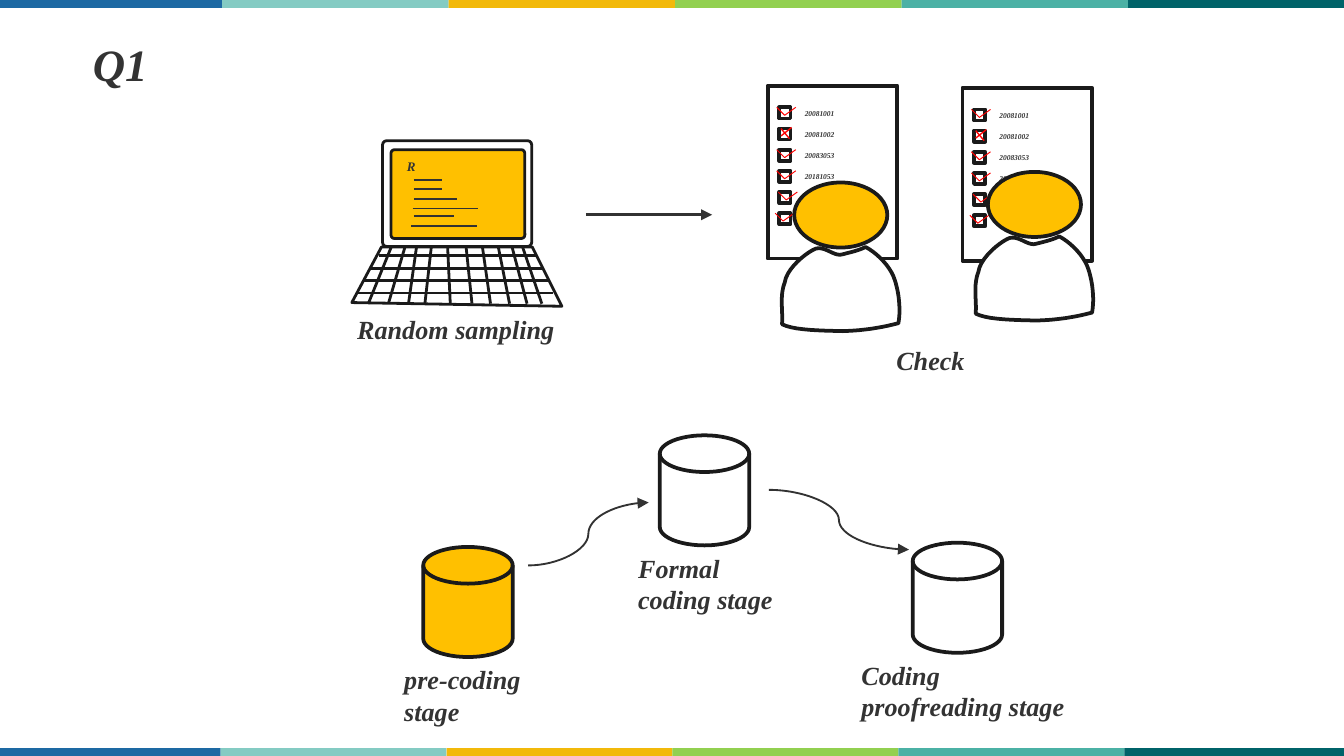
"""Build the Q1 slide: sampling, checking and the three coding stages."""
from lxml.etree import SubElement
from pptx import Presentation
from pptx.dml.color import RGBColor
from pptx.enum.shapes import MSO_CONNECTOR, MSO_SHAPE
from pptx.enum.text import MSO_ANCHOR, MSO_AUTO_SIZE, PP_ALIGN
from pptx.oxml.ns import qn
from pptx.util import Cm, Pt

INK, GREY, RED, GOLD, WHITE = "1A1A1A", "323232", "FF0000", "FFC000", "FFFFFF"
BANDS = ["1D69A3", "84CBC3", "F2B90A", "92D050", "4BB1A5", "006369"]
STRIPS = [(-0.08, 0, 4.28), (-0.1, 14.14, 4.27)]

LID = (7.23, 2.66, 2.82, 2)
SCREEN = (7.39, 2.83, 2.53, 1.68)
KEYS = [(7.21, 4.67), (10.06, 4.67), (10.62, 5.79), (6.65, 5.72)]
ROWS = [(4.83, 7.16, 10.13), (5.08, 7, 10.25), (5.31, 6.86, 10.36), (5.54, 6.76, 10.46)]
COLS = [(7.39, 6.96), (7.65, 7.34), (7.87, 7.72), (8.15, 8.03), (8.46, 8.51),
        (8.81, 8.92), (9.12, 9.27), (9.42, 9.63), (9.68, 9.96), (9.88, 10.24)]
CODE = [(3.4, 7.82, 8.36), (3.58, 7.82, 8.36), (3.76, 7.82, 8.64),
        (3.94, 7.8, 9.04), (4.09, 7.82, 8.58), (4.27, 7.77, 9.02)]

READERS = [((0, 0), (0, 0)), ((3.68, 0.04), (3.66, -0.2))]
CODES = ["20081001", "20081002", "20083053", "20181053"]
TICKS = {0: 0, 2: 0, 3: 0, 4: 0.03, 5: -0.03}
BODY = [(14.78, 6.13),
        (15.01, 6.25), (15.57, 6.25), (15.93, 6.26),
        (16.3, 6.25), (16.64, 6.2), (16.98, 6.11),
        (17.03, 5.83), (16.98, 5.5), (16.91, 5.29),
        (16.84, 5.06), (16.6, 4.8), (16.36, 4.67),
        (16.22, 4.74), (16.07, 4.77), (15.92, 4.81),
        (15.77, 4.86), (15.6, 4.65), (15.42, 4.7),
        (15.24, 4.77), (14.87, 5.07), (14.83, 5.34),
        (14.73, 5.61), (14.8, 5.87), (14.78, 6.13)]

DISKS = [(8, 10.34, GOLD), (12.47, 8.23, None), (17.25, 10.26, None)]
CURVES = [((9.98, 10.69), (12.26, 9.5)), ((14.53, 9.26), (17.18, 10.39))]
LABELS = [("R", (7.44, 2.87, 0.69, 0.56), 7, False),
          ("Random sampling", (6.5, 5.79, 4.27, 0.86), 14, False),
          ("Check", (16.69, 6.38, 1.83, 0.86), 14, False),
          ("pre-coding stage", (7.39, 12.42, 2.92, 1.4), 14, True),
          ("Formal coding stage", (11.81, 10.31, 3.53, 1.4), 14, True),
          ("Coding proofreading stage", (16.03, 12.34, 4.47, 1.4), 14, True)]

deck = Presentation()
deck.slide_width, deck.slide_height = Cm(25.4), Cm(14.29)
slide = deck.slides.add_slide(deck.slide_layouts[5])
shapes = slide.shapes


def paint(part, color):
    part.solid()
    part.fore_color.rgb = RGBColor.from_string(color)


def style(shape, fill, edge, width):
    shape.shadow.inherit = False
    for part, color in ((shape.fill, fill), (shape.line.fill, edge)):
        if color:
            paint(part, color)
        else:
            part.background()
    if edge:
        shape.line.width = Pt(width)


def block(kind, box, fill=None, edge=INK, width=2.0):
    shape = shapes.add_shape(kind, *map(Cm, box))
    style(shape, fill, edge, width)
    return shape


def trace(spots, fill=None, edge=INK, width=2.0, close=True):
    spots = [(Cm(x), Cm(y)) for x, y in spots]
    pen = shapes.build_freeform(*spots[0], scale=1.0)
    pen.add_line_segments(spots[1:], close=close)
    style(pen.convert_to_shape(), fill, edge, width)


def link(start, end, color=GREY, width=1.0, arrow=False, kind=MSO_CONNECTOR.STRAIGHT):
    line = shapes.add_connector(kind, *map(Cm, (*start, *end)))
    paint(line.line.fill, color)
    line.line.width = Pt(width)
    if arrow:
        SubElement(line.line._get_or_add_ln(), qn("a:tailEnd"), type="triangle")
    SubElement(line._element.spPr, qn("a:effectLst"))


def write(shape, text, size, wrap=False):
    frame = shape.text_frame
    frame.text = text
    frame.word_wrap = wrap
    frame.auto_size = MSO_AUTO_SIZE.NONE
    frame.vertical_anchor = MSO_ANCHOR.TOP
    para = frame.paragraphs[0]
    para.alignment = PP_ALIGN.LEFT
    font = para.font
    font.name, font.size = "Times New Roman", Pt(size)
    font.bold = font.italic = True
    paint(font.fill, "333333")


def label(text, box, size, wrap=False):
    write(shapes.add_textbox(*map(Cm, box)), text, size, wrap)


def smooth(nodes, steps=10):
    """Turn a chain of cubic Bezier nodes into points."""
    spots = [nodes[0]]
    for i in range(0, len(nodes) - 1, 3):
        for k in range(1, steps + 1):
            t = k / steps
            mix = ((1 - t) ** 3, 3 * t * (1 - t) ** 2, 3 * t * t * (1 - t), t ** 3)
            spots.append(tuple(sum(m * n[axis] for m, n in zip(mix, nodes[i:i + 4]))
                               for axis in (0, 1)))
    return spots


def sheet(dx, dy):
    left, top = 14.51 + dx, 1.62 + dy
    block(MSO_SHAPE.RECTANGLE, (left, top, 2.45, 3.27), WHITE)
    rows = [top + 0.41 + 0.4 * i for i in range(6)]
    for y in rows:
        block(MSO_SHAPE.RECTANGLE, (left + 0.22, y, 0.21, 0.21), WHITE)
    for i, shift in TICKS.items():
        x, y = left + 0.17 + shift, rows[i]
        trace([(x, y), (x + 0.15, y + 0.15), (x + 0.36, y)], None, RED, 0.5, False)
    x, y = left + 0.25, rows[1]
    link((x, y), (x + 0.16, y + 0.19), RED, 0.75)
    link((x, y + 0.14), (x + 0.2, y - 0.02), RED, 0.75)
    for code, y in zip(CODES, rows):
        label(code, (left + 0.45, y - 0.1, 1.09, 0.43), 4)


def person(dx, dy):
    block(MSO_SHAPE.OVAL, (15.01 + dx, 3.45 + dy, 1.76, 1.23), GOLD)
    trace([(x + dx, y + dy) for x, y in smooth(BODY)], WHITE)


title = shapes.title
title.left, title.top, title.width, title.height = map(Cm, (1.5, 0.56, 1.6, 1.27))
write(title, "Q1", 24)

for left, top, step in STRIPS:
    for i, color in enumerate(BANDS):
        block(MSO_SHAPE.RECTANGLE, (left + i * step, top, step, 0.15), color, None)

for box, fill in ((LID, None), (SCREEN, GOLD)):
    block(MSO_SHAPE.ROUNDED_RECTANGLE, box, fill, INK, 1.5).adjustments[0] = 0.04
trace(KEYS, width=1.5)
for y, start, end in ROWS:
    link((start, y), (end, y), INK, 1.5)
for high, low in COLS:
    link((high, 4.68), (low, 5.74), INK, 1.5)
for y, start, end in CODE:
    link((start, y), (end, y))
link((11.07, 4.06), (13.46, 4.06), width=1.5, arrow=True)

for page, body in READERS:
    sheet(*page)
    person(*body)

for x, y, fill in DISKS:
    block(MSO_SHAPE.FLOWCHART_MAGNETIC_DISK, (x, y, 1.69, 2.08), fill)
for start, end in CURVES:
    link(start, end, arrow=True, kind=MSO_CONNECTOR.CURVE)
for item in LABELS:
    label(*item)

deck.save("out.pptx")
